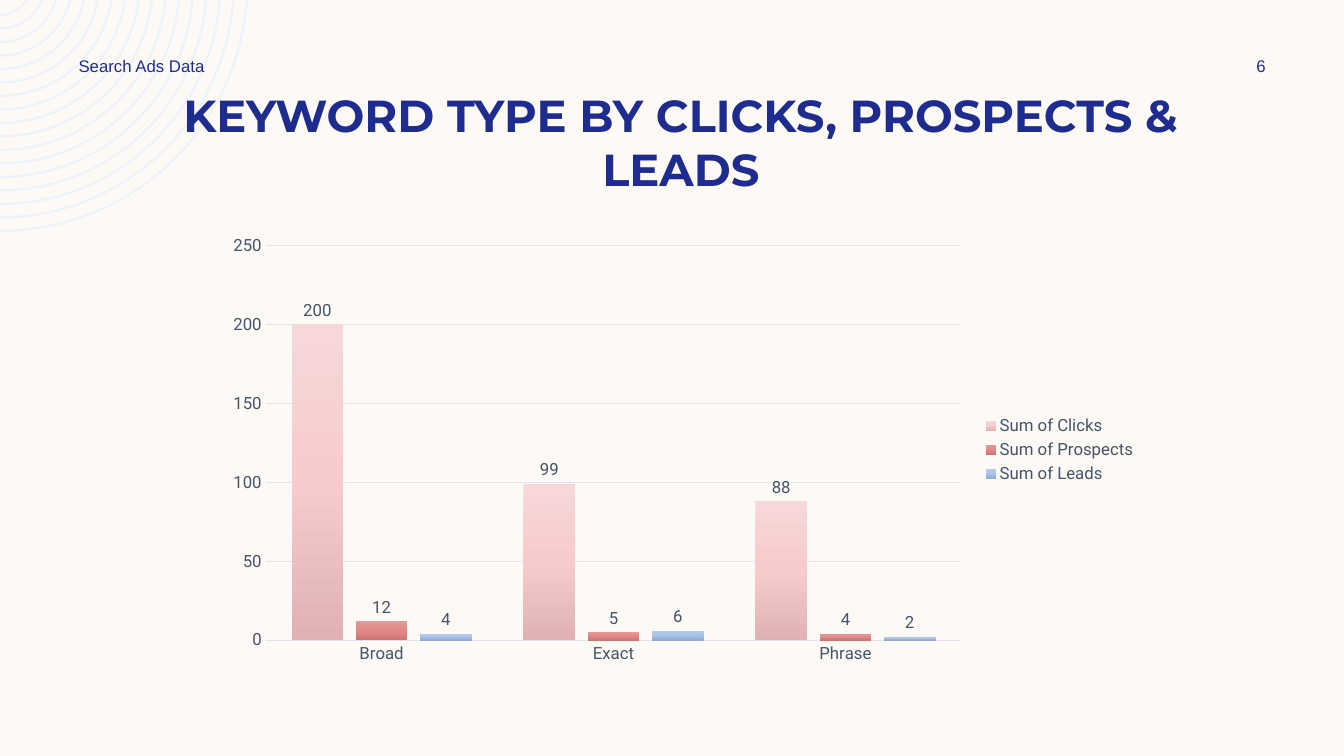
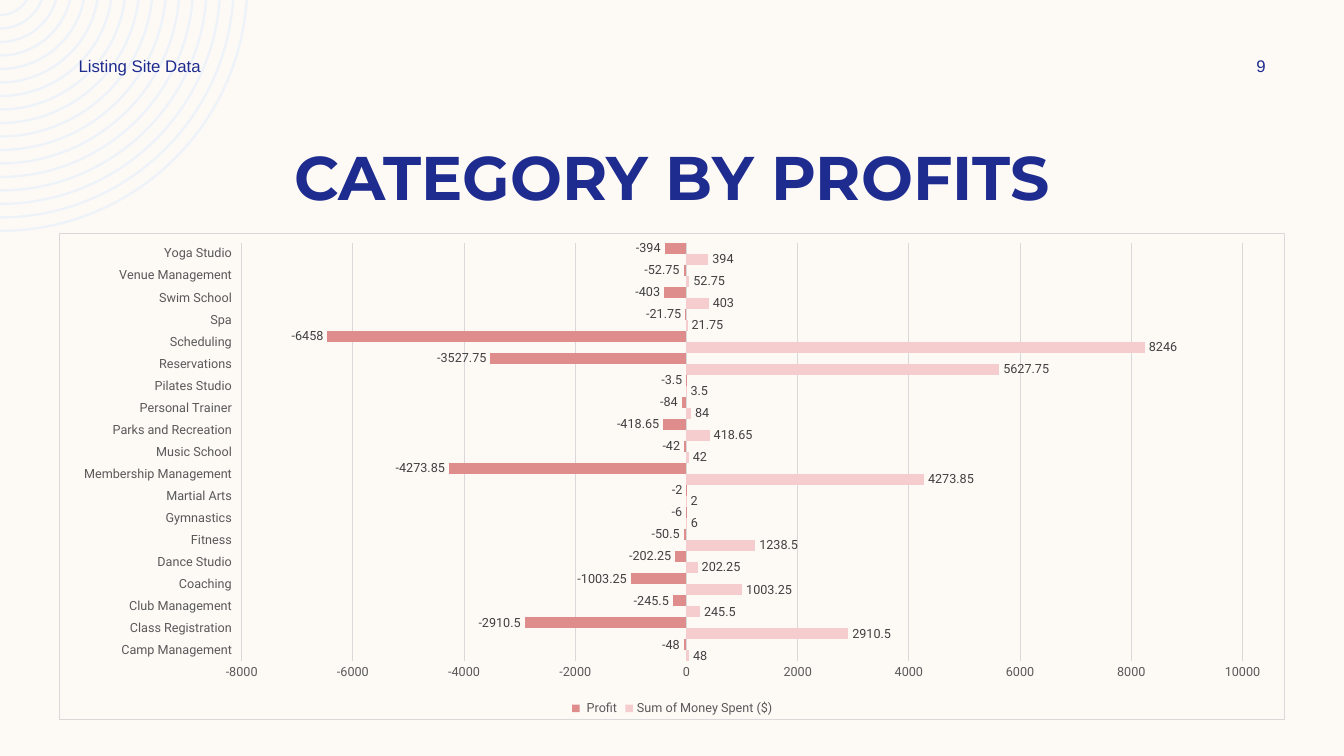
import math

from lxml import etree
from pptx import Presentation
from pptx import util as u
from pptx.chart.data import CategoryChartData
from pptx.dml.color import RGBColor
from pptx.enum import chart as ch
from pptx.enum import text as t
from pptx.oxml.ns import qn

rgb = RGBColor.from_string

CREAM, NAVY, PALE_BLUE = "FDFAF6", "1F2C8F", "EEF3FA"
TITLE = {"name": "Montserrat", "bold": True}
HEADER = {"name": "Arial", "size": u.Pt(12)}


def style(font, color, **values):
    font.color.rgb = rgb(color)
    for name, value in values.items():
        setattr(font, name, value)


def arc(radius, center_y=-0.41):
    """Bezier points, in microns, of a circle's part from the top to the left slide edge."""
    start = math.asin(-center_y / radius)
    k = radius * 4 / 3 * math.tan((math.pi / 2 - start) / 4)
    x, y = radius * math.cos(start), radius * math.sin(start)
    points = [
        (x, y),
        (x - k * math.sin(start), y + k * math.cos(start)),
        (k, radius),
        (0, radius),
    ]
    return [(round(px * 10000), round((py + center_y) * 10000)) for px, py in points]


SLIDES = [
    {
        "title": "KEYWORD TYPE BY CLICKS, PROSPECTS & LEADS",
        "title_box": (2.34, 2.08, 29.64, 2.84),
        "title_size": 32,
        "header": "Search Ads Data",
        "page": "6",
        "kind": ch.XL_CHART_TYPE.COLUMN_CLUSTERED,
        "chart_box": (5.41, 5.71, 23.5, 11.25),
        "scale": {"minimum_scale": 0, "maximum_scale": 250, "major_unit": 50},
        "spacing": {"gap_width": 100, "overlap": -24},
        "legend": ch.XL_LEGEND_POSITION.RIGHT,
        "labels_at": ch.XL_TICK_LABEL_POSITION.NEXT_TO_AXIS,
        "size": 12,
        "text": "44546A",
        "label_text": "44546A",
        "grid": "E0E5EB",
        "framed": False,
        "categories": ["Broad", "Exact", "Phrase"],
        "series": [
            ("Sum of Clicks", ["F7D7D8", "F7CBCC", "DFB1B2"], [200, 99, 88]),
            ("Sum of Prospects", ["E39A9A", "E28888", "CE7474"], [12, 5, 4]),
            ("Sum of Leads", ["B6CBEC", "A7C2EB", "90ACD5"], [4, 6, 2]),
        ],
    },
    {
        "title": "CATEGORY BY PROFITS",
        "title_box": (2.12, 3.38, 29.64, 2.13),
        "title_size": 44,
        "header": "Listing Site Data",
        "page": "9",
        "kind": ch.XL_CHART_TYPE.BAR_CLUSTERED,
        "chart_box": (1.49, 5.86, 30.9, 12.29),
        "scale": {"minimum_scale": -8000, "maximum_scale": 10000, "major_unit": 2000},
        "spacing": {"gap_width": 0, "overlap": 0},
        "legend": ch.XL_LEGEND_POSITION.BOTTOM,
        "labels_at": ch.XL_TICK_LABEL_POSITION.LOW,
        "size": 9,
        "text": "595959",
        "label_text": "404040",
        "grid": "D9D9D9",
        "framed": True,
        "categories": [
            "Camp Management", "Class Registration", "Club Management", "Coaching",
            "Dance Studio", "Fitness", "Gymnastics", "Martial Arts",
            "Membership Management", "Music School", "Parks and Recreation",
            "Personal Trainer", "Pilates Studio", "Reservations", "Scheduling",
            "Spa", "Swim School", "Venue Management", "Yoga Studio",
        ],
        "series": [
            ("Sum of Money Spent ($)", ["F5CDCE"],
             [48, 2910.5, 245.5, 1003.25, 202.25, 1238.5, 6, 2, 4273.85, 42,
              418.65, 84, 3.5, 5627.75, 8246, 21.75, 403, 52.75, 394]),
            (" Profit", ["DE8C8C"],
             [-48, -2910.5, -245.5, -1003.25, -202.25, -50.5, -6, -2, -4273.85, -42,
              -418.65, -84, -3.5, -3527.75, -6458, -21.75, -403, -52.75, -394]),
        ],
    },
]

prs = Presentation()
prs.slide_width, prs.slide_height = u.Cm(33.87), u.Cm(19.05)
fill = prs.slide_master.background.fill
fill.solid()
fill.fore_color.rgb = rgb(CREAM)
layout = prs.slide_layouts[5]
for sp in list(layout.placeholders)[1:]:
    layout.shapes.element.remove(sp.element)

for d in SLIDES:
    s = prs.slides.add_slide(layout)

    title = s.shapes.title
    title.left, title.top, title.width, title.height = map(u.Cm, d["title_box"])
    tf = title.text_frame
    tf.text = d["title"]
    tf.auto_size = t.MSO_AUTO_SIZE.NONE
    tf.vertical_anchor = t.MSO_ANCHOR.TOP
    p = tf.paragraphs[0]
    p.alignment = t.PP_ALIGN.CENTER
    style(p.runs[0].font, NAVY, size=u.Pt(d["title_size"]), **TITLE)

    for words, left, width, align in [
        (d["header"], 1.73, 8.89, t.PP_ALIGN.LEFT),
        (d["page"], 30.41, 2.74, t.PP_ALIGN.CENTER),
    ]:
        tf = s.shapes.add_textbox(u.Cm(left), u.Cm(1.27), u.Cm(width), u.Cm(0.76)).text_frame
        tf.word_wrap = True
        tf.vertical_anchor = t.MSO_ANCHOR.MIDDLE
        p = tf.paragraphs[0]
        p.alignment = align
        r = p.add_run()
        r.text = words
        style(r.font, NAVY, **HEADER)

    data = CategoryChartData()
    data.categories = d["categories"]
    for name, _, values in d["series"]:
        data.add_series(name, values)
    chart = s.shapes.add_chart(d["kind"], *map(u.Cm, d["chart_box"]), data).chart
    font = {"name": "Roboto", "size": u.Pt(d["size"])}
    style(chart.font, d["text"], **font)
    chart.has_title = False
    chart.has_legend = True
    chart.legend.position = d["legend"]
    chart.legend.include_in_layout = False
    style(chart.legend.font, d["text"], **font)

    cat, val = chart.category_axis, chart.value_axis
    for axis in (cat, val):
        axis.major_tick_mark = axis.minor_tick_mark = ch.XL_TICK_MARK.NONE
        style(axis.tick_labels.font, d["text"], **font)
    cat.tick_label_position = d["labels_at"]
    for line in (cat.format.line, val.major_gridlines.format.line):
        line.color.rgb = rgb(d["grid"])
        line.width = u.Pt(0.75)
    val.format.line.fill.background()
    for name, value in d["scale"].items():
        setattr(val, name, value)

    plot = chart.plots[0]
    plot.vary_by_categories = False
    for name, value in d["spacing"].items():
        setattr(plot, name, value)
    for ser, (_, colors, _) in zip(plot.series, d["series"]):
        ser.invert_if_negative = False
        fill = ser.format.fill
        if len(colors) == 1:
            fill.solid()
            fill.fore_color.rgb = rgb(colors[0])
        else:
            fill.gradient()
            fill.gradient_angle = 270
            stops = list(chart.element.iter(qn("a:gsLst")))[-1]
            stops.clear()
            for i, color in enumerate(colors):
                stop = etree.SubElement(stops, qn("a:gs"), pos=str(i * 50000))
                etree.SubElement(stop, qn("a:srgbClr"), val=color)
        labels = ser.data_labels
        labels.show_value = True
        labels.position = ch.XL_LABEL_POSITION.OUTSIDE_END
        style(labels.font, d["label_text"], **font)

    if d["framed"]:
        frame = etree.Element(qn("c:spPr"))
        chart.element.find(qn("c:chart")).addnext(frame)
        line = etree.Element(qn("a:ln"), w=str(u.Pt(0.75)))
        for parent, color in ((frame, CREAM), (line, d["grid"])):
            solid = etree.SubElement(parent, qn("a:solidFill"))
            etree.SubElement(solid, qn("a:srgbClr"), val=color)
        frame.append(line)

# Concentric rings in the corner, shared through the layout
rings = []
for i in range(17):
    radius = 6.23 - 0.34 * i
    rings.append(arc(radius + 0.03) + arc(radius - 0.03)[::-1])
outline = prs.slides[0].shapes.build_freeform(*rings[0][0], scale=u.Cm(0.0001))
for i, ring in enumerate(rings):
    if i:
        outline.move_to(*ring[0])
    outline.add_line_segments(ring[1:], close=True)
sp = outline.convert_to_shape()
sp.shadow.inherit = False
sp.fill.solid()
sp.fill.fore_color.rgb = rgb(PALE_BLUE)
sp.line.fill.background()

# Each ring has seven segments: a curve of three points, a straight step, a curve back
segments = list(sp.element.iter(qn("a:lnTo")))
for i in range(0, len(segments), 7):
    for first in (i, i + 4):
        curve = etree.Element(qn("a:cubicBezTo"))
        segments[first].addprevious(curve)
        for segment in segments[first:first + 3]:
            curve.append(segment[0])
            segment.getparent().remove(segment)
sp.element.nvSpPr.cNvPr.set("id", "20")
layout.shapes.element.insert(2, sp.element)

prs.save("out.pptx")
